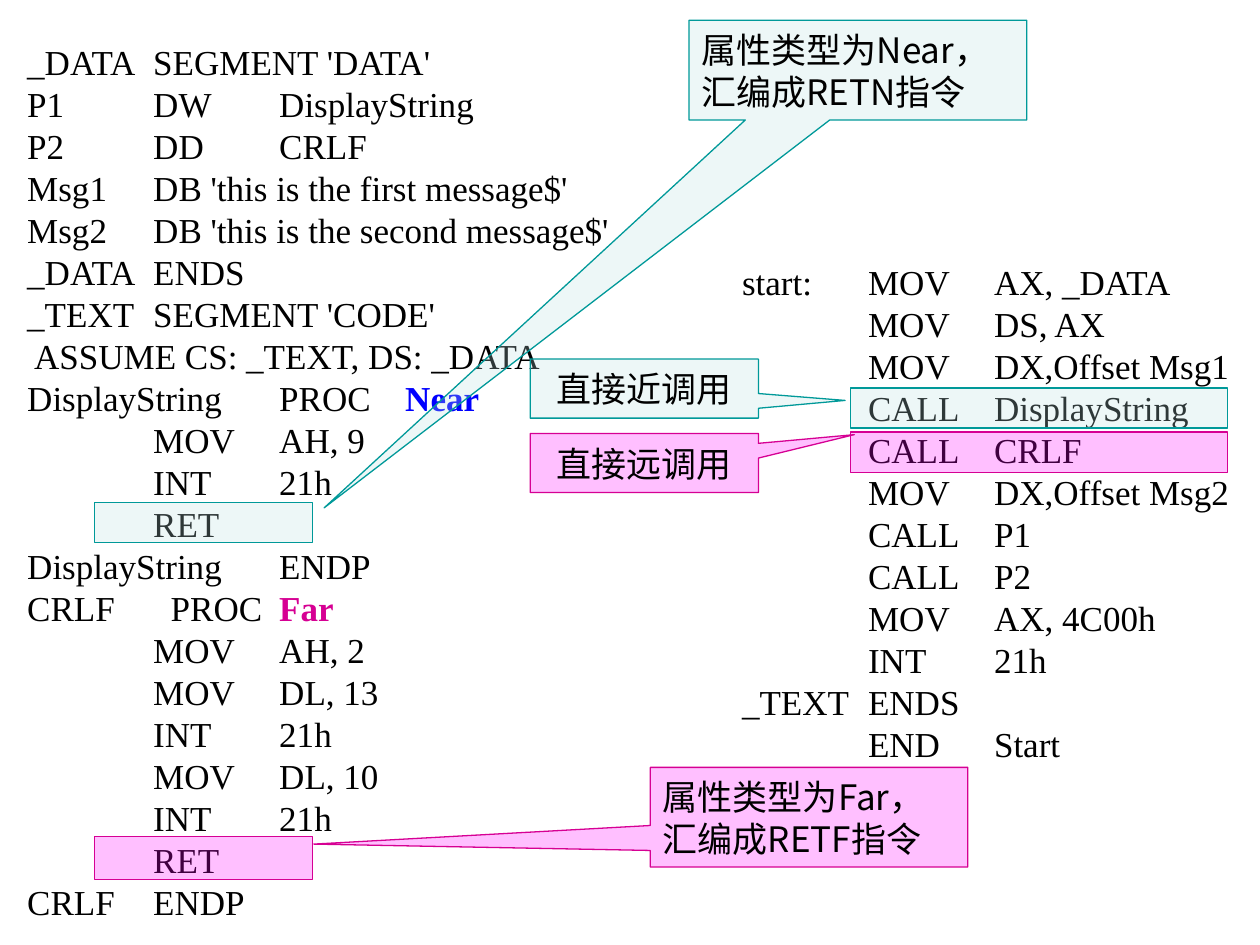
from lxml.etree import SubElement
from pptx import Presentation
from pptx.dml.color import RGBColor
from pptx.enum.shapes import MSO_SHAPE
from pptx.enum.text import MSO_ANCHOR, PP_ALIGN
from pptx.oxml.ns import qn
from pptx.util import Cm, Pt

BLACK = RGBColor(0x00, 0x00, 0x00)
BLUE = RGBColor(0x00, 0x00, 0xFF)
PALE_TEAL = RGBColor(0xBB, 0xE0, 0xE3)
TEAL = RGBColor(0x00, 0x99, 0x99)
MAGENTA = RGBColor(0xFF, 0x00, 0xFF)
CRIMSON = RGBColor(0xD6, 0x00, 0x93)
NEAR_STYLE = (PALE_TEAL, TEAL)
FAR_STYLE = (MAGENTA, CRIMSON)

PROCEDURES = """_DATA\tSEGMENT 'DATA'
P1\tDW\tDisplayString
P2\tDD\tCRLF
Msg1\tDB 'this is the first message$'
Msg2\tDB 'this is the second message$'
_DATA\tENDS
_TEXT\tSEGMENT 'CODE'
 ASSUME CS: _TEXT, DS: _DATA
DisplayString\tPROC\tNear
\tMOV\tAH, 9
\tINT\t21h
\tRET
DisplayString\tENDP
CRLF\t  PROC\tFar
\tMOV\tAH, 2
\tMOV\tDL, 13
\tINT\t21h
\tMOV\tDL, 10
\tINT\t21h
\tRET
CRLF\tENDP"""

MAIN_PROGRAM = """start:\tMOV\tAX, _DATA
\tMOV\tDS, AX
\tMOV\tDX,Offset Msg1
\tCALL\tDisplayString
\tCALL\tCRLF
\tMOV\tDX,Offset Msg2
\tCALL\tP1
\tCALL\tP2
\tMOV\tAX, 4C00h
\tINT\t21h
_TEXT\tENDS
\tEND\tStart"""

KEYWORDS = {"Near": BLUE, "Far": CRIMSON}


class SlideBuilder:
    code_font = "Times New Roman"
    note_font = "Noto Sans CJK SC"
    size = Pt(20)
    line_width = Pt(0.75)
    tab_width = Cm(2.54)
    tab_count = 7

    def __init__(self, slide):
        self.slide = slide

    def format_paragraph(self, paragraph, font_name):
        paragraph.font.name = font_name
        paragraph.font.size = self.size
        paragraph.font.color.rgb = BLACK

    def add_tabs(self, paragraph):
        properties = paragraph._p.get_or_add_pPr()
        tabs = SubElement(properties, qn("a:tabLst"))
        for index in range(1, self.tab_count + 1):
            SubElement(tabs, qn("a:tab"), pos=str(self.tab_width * index), algn="l")

    def code(self, left, top, width, height, listing):
        box = self.slide.shapes.add_textbox(Cm(left), Cm(top), Cm(width), Cm(height))
        frame = box.text_frame
        frame.word_wrap = True
        for index, line in enumerate(listing.split("\n")):
            paragraph = frame.add_paragraph() if index else frame.paragraphs[0]
            self.add_tabs(paragraph)
            self.format_paragraph(paragraph, self.code_font)
            start, tab, last = line.rpartition("\t")
            if last in KEYWORDS:
                paragraph.add_run().text = start + tab
                keyword = paragraph.add_run()
                keyword.text = last
                keyword.font.bold = True
                keyword.font.color.rgb = KEYWORDS[last]
            else:
                paragraph.add_run().text = line

    def tinted(self, group, kind, bounds, style):
        fill_color, line_color = style
        shape = group.shapes.add_shape(kind, *[Cm(length) for length in bounds])
        shape.shadow.inherit = False
        shape.fill.solid()
        shape.fill.fore_color.rgb = fill_color
        color = shape.fill._xPr.find(qn("a:solidFill"))[0]
        SubElement(color, qn("a:alpha"), val="25000")
        shape.line.color.rgb = line_color
        shape.line.width = self.line_width
        return shape

    def annotation(self, highlight, note, pointer, text, style, align):
        group = self.slide.shapes.add_group_shape()
        self.tinted(group, MSO_SHAPE.RECTANGLE, highlight, style)
        callout = self.tinted(group, MSO_SHAPE.RECTANGULAR_CALLOUT, note, style)
        callout.adjustments[0], callout.adjustments[1] = pointer
        frame = callout.text_frame
        frame.word_wrap = True
        frame.vertical_anchor = MSO_ANCHOR.MIDDLE
        paragraph = frame.paragraphs[0]
        paragraph.alignment = align
        self.format_paragraph(paragraph, self.note_font)
        run = paragraph.add_run()
        run.text = text
        SubElement(run._r.get_or_add_rPr(), qn("a:ea"), typeface=self.note_font)


presentation = Presentation()
presentation.slide_width = Cm(25.4)
presentation.slide_height = Cm(19.05)
builder = SlideBuilder(presentation.slides.add_slide(presentation.slide_layouts[6]))

builder.code(0.3, 0.69, 13.41, 18.06, PROCEDURES)
builder.code(14.71, 5.13, 10.4, 10.41, MAIN_PROGRAM)

builder.annotation((1.91, 10.13, 4.39, 0.81), (13.89, 0.41, 6.81, 2.01), (-1.58, 4.39),
                   "属性类型为Near，汇编成RETN指令", NEAR_STYLE, PP_ALIGN.LEFT)
builder.annotation((17.15, 7.82, 7.59, 0.81), (10.69, 7.24, 4.6, 1.19), (0.88, 0.2),
                   "直接近调用", NEAR_STYLE, PP_ALIGN.CENTER)
builder.annotation((1.91, 16.87, 4.39, 0.86), (13.11, 15.47, 6.4, 2.01), (-1.56, 0.27),
                   "属性类型为Far，汇编成RETF指令", FAR_STYLE, PP_ALIGN.LEFT)
builder.annotation((17.15, 8.71, 7.59, 0.81), (10.69, 8.74, 4.6, 1.19), (0.92, -0.48),
                   "直接远调用", FAR_STYLE, PP_ALIGN.CENTER)

presentation.save("out.pptx")
